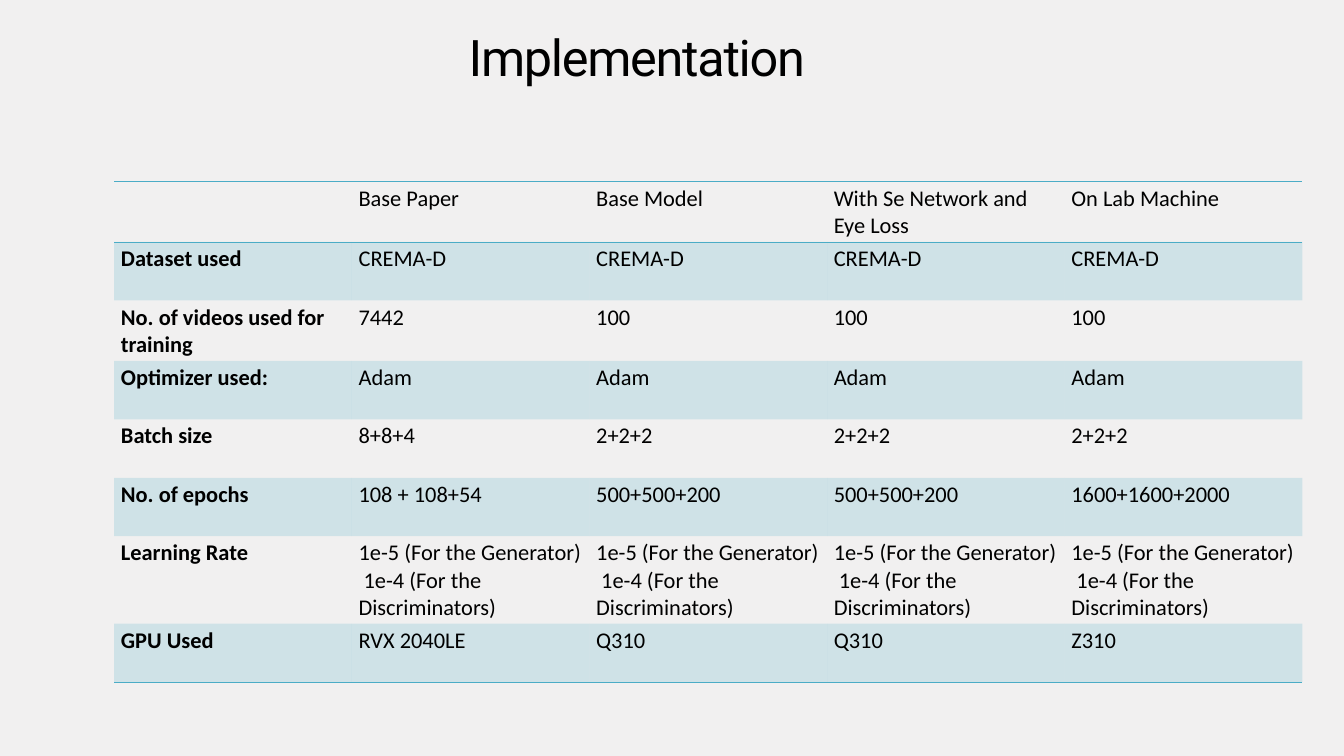
from lxml import etree
from pptx import Presentation
from pptx.dml.color import RGBColor
from pptx.enum import text as t
from pptx.oxml import ns
from pptx.util import Pt

INK, TEAL, PAPER = "000000", "4BACC6", "F1F0F0"
PLAIN = "{2D5ABB26-0587-4C30-8999-92F81FD0307C}"
RATE = "1e-5 (For the Generator)\n 1e-4 (For the Discriminators)"
RATE_BASE = "1e-5 (For the Generator)\n 1e-4 (For the Discriminators)"
ROWS = [
    ["", "Base Paper", "Base Model", "With Se Network and Eye Loss", "On Lab Machine"],
    ["Dataset used"] + ["CREMA-D"] * 4,
    ["No. of videos used for training", "7442"] + ["100"] * 3,
    ["Optimizer used:  "] + ["Adam"] * 4,
    ["Batch size", "8+8+4"] + ["2+2+2"] * 3,
    ["No. of epochs ", "108 + 108+54", "500+500+200", "500+500+200", "1600+1600+2000"],
    ["Learning Rate", RATE_BASE] + [RATE] * 3,
    ["GPU Used", "RVX 2040LE", "Q310", "Q310", "Z310"],
]


def color(code):
    return RGBColor.from_string(code)


def style(par, face, size, bold=False):
    par.font.name, par.font.size, par.font.bold = face, Pt(size), bold
    par.font.color.rgb = color(INK)


def add_title(slide, left, top, width, height):
    box = slide.shapes.add_textbox(Pt(left), Pt(top), Pt(width), Pt(height))
    frame = box.text_frame
    frame.word_wrap = True
    frame.auto_size = t.MSO_AUTO_SIZE.SHAPE_TO_FIT_TEXT
    frame.margin_left = frame.margin_right = frame.margin_top = frame.margin_bottom = 0
    par = frame.paragraphs[0]
    par.alignment, par.line_spacing = t.PP_ALIGN.CENTER, Pt(70.2)
    run = par.add_run()
    run.text = "Implementation "
    style(par, "Roboto", 54)
    run.font.size = Pt(54)
    run.font._element.set("spc", "-140")


def tint(cell):
    """Fill the cell with teal at 20 % opacity."""
    cell.fill.solid()
    cell.fill.fore_color.rgb = color(TEAL)
    code = cell._tc.tcPr.find(".//" + ns.qn("a:srgbClr"))
    etree.SubElement(code, ns.qn("a:alpha"), val="20000")


def rule(cell, side):
    """Draw a teal line on one side; add the bottom before the top."""
    line = etree.Element(ns.qn("a:" + side), w=str(Pt(1)))
    fill = etree.SubElement(line, ns.qn("a:solidFill"))
    etree.SubElement(fill, ns.qn("a:srgbClr"), val=TEAL)
    cell._tc.get_or_add_tcPr().insert(0, line)


def add_grid(slide, left, top, width, height):
    frame = slide.shapes.add_table(
        len(ROWS), len(ROWS[0]), Pt(left), Pt(top), Pt(width), Pt(height))
    table = frame.table
    table._tbl.tblPr.find(ns.qn("a:tableStyleId")).text = PLAIN
    table.first_row = table.horz_banding = False
    for col in table.columns:
        col.width = Pt(width / len(ROWS[0]))
    last = len(ROWS) - 1
    for i, row in enumerate(ROWS):
        table.rows[i].height = Pt(68.4 if row[0] == "Learning Rate" else 62.64)
        for j, words in enumerate(row):
            cell = table.cell(i, j)
            cell.text = words
            for par in cell.text_frame.paragraphs:
                style(par, "Calibri", 24, bold=j == 0)
            if i % 2:
                tint(cell)
            else:
                cell.fill.background()
            if i in (0, last):
                rule(cell, "lnB")
            if i == 0:
                rule(cell, "lnT")


def main():
    deck = Presentation()
    deck.slide_width, deck.slide_height = Pt(1440), Pt(810)
    slide = deck.slides.add_slide(deck.slide_layouts[6])
    slide.background.fill.solid()
    slide.background.fill.fore_color.rgb = color(PAPER)
    add_title(slide, -34.56, 23.04, 1445.76, 69.12)
    add_grid(slide, 122.4, 194.4, 1272.96, 506.88)
    deck.save("out.pptx")


if __name__ == "__main__":
    main()
